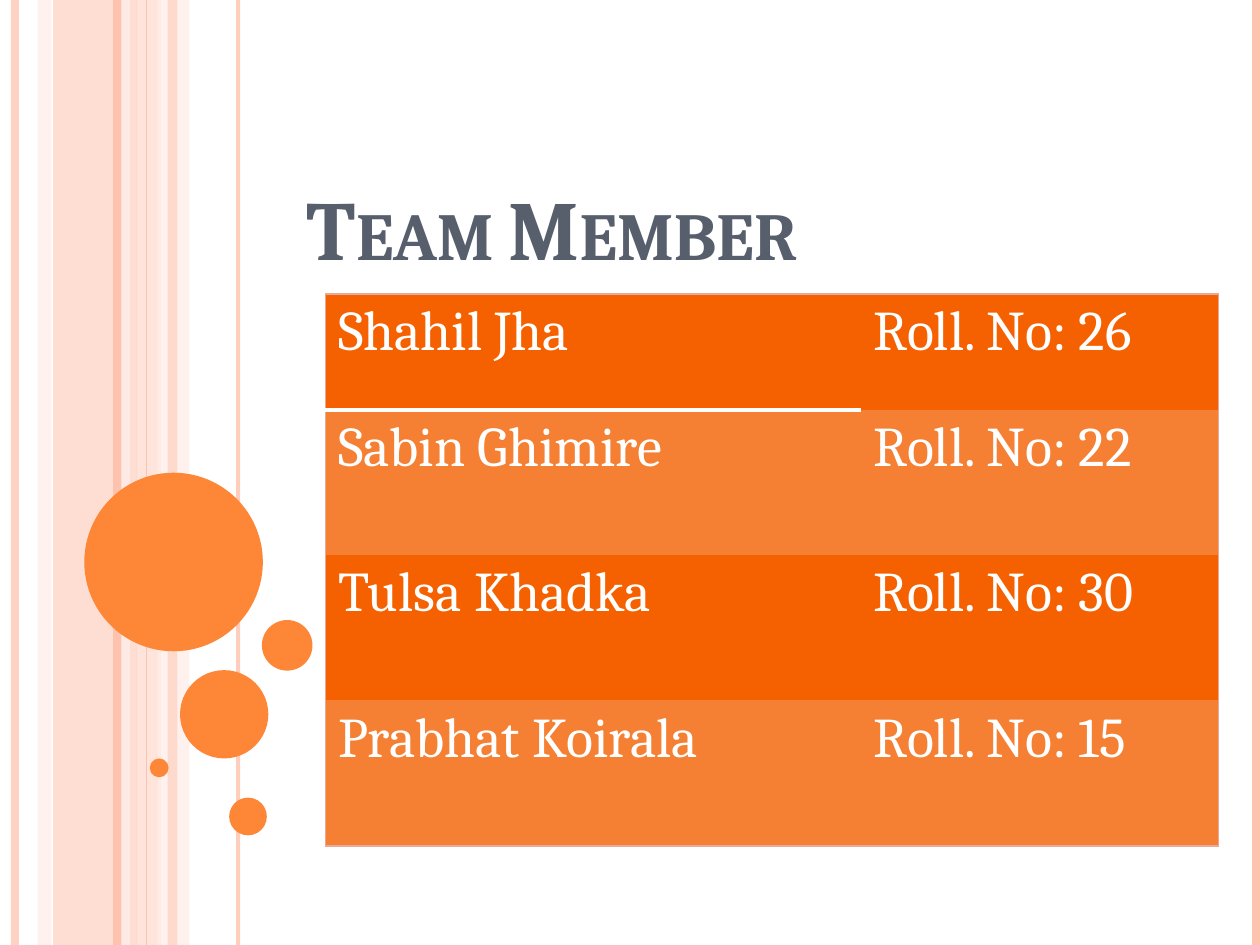
"""Build the team member slide with its striped margin and roll number table."""
from dataclasses import dataclass

from lxml.etree import SubElement
from pptx import Presentation
from pptx.dml.color import RGBColor
from pptx.enum.shapes import MSO_CONNECTOR, MSO_SHAPE
from pptx.enum.text import MSO_ANCHOR, MSO_AUTO_SIZE, PP_ALIGN
from pptx.oxml import parse_xml
from pptx.oxml.ns import nsdecls, qn
from pptx.util import Cm, Pt


@dataclass(frozen=True)
class Theme:
    font: str = "Cambria"
    title_size: int = 48
    cell_size: int = 32
    title: str = "575F6D"
    white: str = "FFFFFF"
    bubble: str = "FE8637"
    peach: str = "FEC3AE"
    blush: str = "FFD9CE"
    pale: str = "FFEDE8"
    rows: tuple = ("F56100", "F58033")
    frame: str = "E8A996"


THEME = Theme()
WIDTH, HEIGHT = 25.4, 19.05
TITLE = "Team Member"
MEMBERS = [
    ("Shahil Jha", 26),
    ("Sabin Ghimire", 22),
    ("Tulsa Khadka", 30),
    ("Prabhat Koirala", 15),
]
COLUMN_WIDTHS = (10.8, 7.2)
ROW_HEIGHTS = (2.33, 2.93, 2.93, 2.93)
TABLE_LEFT, TABLE_TOP = 6.56, 5.93

# left, width, colour, opacity in percent
BANDS = [
    (1.07, 1.7, THEME.peach, 54),
    (0.76, 0.28, THEME.blush, 36),
    (2.74, 0.51, THEME.blush, 70),
    (3.18, 0.64, THEME.pale, 71),
    (3.38, 0.2, THEME.peach, 51),
]
# centre, weight in points, colour, opacity in percent
STRIPES = [
    (0.3, 4.5, THEME.peach, 73),
    (2.54, 4.5, THEME.pale, 83),
    (2.35, 4.5, THEME.peach, 100),
    (4.8, 2.25, THEME.peach, 82),
    (2.96, 0.75, THEME.peach, 100),
    (25.32, 4.5, THEME.peach, 100),
]
# left, top, diameter
BUBBLES = [
    (1.7, 9.53, 3.6),
    (3.63, 13.51, 1.78),
    (3.02, 15.29, 0.38),
    (4.62, 16.08, 0.76),
    (5.28, 12.5, 1.02),
]


def set_opacity(element, percent):
    if percent < 100:
        color = element.find(".//" + qn("a:srgbClr"))
        SubElement(color, qn("a:alpha"), val=str(percent * 1000))


def add_filled(slide, kind, box, color, opacity=100):
    shape = slide.shapes.add_shape(kind, *map(Cm, box))
    shape.shadow.inherit = False
    shape.fill.solid()
    shape.fill.fore_color.rgb = RGBColor.from_string(color)
    shape.line.fill.background()
    set_opacity(shape.fill._xPr, opacity)


def add_stripe(slide, x, weight, color, opacity):
    stripe = slide.shapes.add_connector(
        MSO_CONNECTOR.STRAIGHT, Cm(x), Cm(0), Cm(x), Cm(HEIGHT))
    stripe.line.width = Pt(weight)
    stripe.line.color.rgb = RGBColor.from_string(color)
    properties = stripe._element.spPr
    set_opacity(properties, opacity)
    SubElement(properties, qn("a:effectLst"))


def style_font(paragraph, size, color, bold=False):
    font = paragraph.font
    font.name, font.size, font.bold = THEME.font, Pt(size), bold
    font.color.rgb = RGBColor.from_string(color)


def set_borders(cell, borders):
    properties = cell._tc.get_or_add_tcPr()
    for index, side in enumerate("LRTB"):
        color, weight = borders.get(side, (None, 0))
        paint = (f'<a:solidFill><a:srgbClr val="{color}"/></a:solidFill>'
                 if color else "<a:noFill/>")
        properties.insert(index, parse_xml(
            f'<a:ln{side} {nsdecls("a")} w="{int(Pt(weight))}">{paint}</a:ln{side}>'))


def cell_borders(row, column):
    frame, divider = (THEME.frame, 1), (THEME.white, 2.75)
    edges = {"L": column == 0, "R": column == len(COLUMN_WIDTHS) - 1,
             "T": row == 0, "B": row == len(MEMBERS) - 1}
    borders = {side: frame for side, outer in edges.items() if outer}
    if column == 0 and row < 2:
        borders["B" if row == 0 else "T"] = divider
    return borders


def add_title(slide):
    title = slide.shapes.title
    title.left, title.top, title.width, title.height = map(
        Cm, (5.93, 0.64, 16.93, 5.08))
    frame = title.text_frame
    frame.text = TITLE
    frame.auto_size = MSO_AUTO_SIZE.NONE
    frame.vertical_anchor = MSO_ANCHOR.BOTTOM
    heading = frame.paragraphs[0]
    heading.alignment = PP_ALIGN.LEFT
    style_font(heading, THEME.title_size, THEME.title, bold=True)
    heading.runs[0]._r.get_or_add_rPr().set("cap", "small")


def add_members(slide):
    table = slide.shapes.add_table(
        len(MEMBERS), len(COLUMN_WIDTHS), Cm(TABLE_LEFT), Cm(TABLE_TOP),
        Cm(sum(COLUMN_WIDTHS)), Cm(sum(ROW_HEIGHTS))).table
    table.first_row = table.horz_banding = False
    for column, width in zip(table.columns, COLUMN_WIDTHS):
        column.width = Cm(width)
    for row, (name, roll) in enumerate(MEMBERS):
        table.rows[row].height = Cm(ROW_HEIGHTS[row])
        for column, text in enumerate((name, f"Roll. No: {roll}")):
            cell = table.cell(row, column)
            cell.text = text
            style_font(cell.text_frame.paragraphs[0], THEME.cell_size, THEME.white)
            cell.fill.solid()
            cell.fill.fore_color.rgb = RGBColor.from_string(THEME.rows[row % 2])
            set_borders(cell, cell_borders(row, column))


def main():
    deck = Presentation()
    deck.slide_width, deck.slide_height = Cm(WIDTH), Cm(HEIGHT)
    slide = deck.slides.add_slide(deck.slide_layouts[5])
    for left, width, color, opacity in BANDS:
        add_filled(slide, MSO_SHAPE.RECTANGLE, (left, 0, width, HEIGHT), color, opacity)
    for stripe in STRIPES:
        add_stripe(slide, *stripe)
    for left, top, size in BUBBLES:
        add_filled(slide, MSO_SHAPE.OVAL, (left, top, size, size), THEME.bubble)
    add_title(slide)
    add_members(slide)
    deck.save("out.pptx")


if __name__ == "__main__":
    main()
